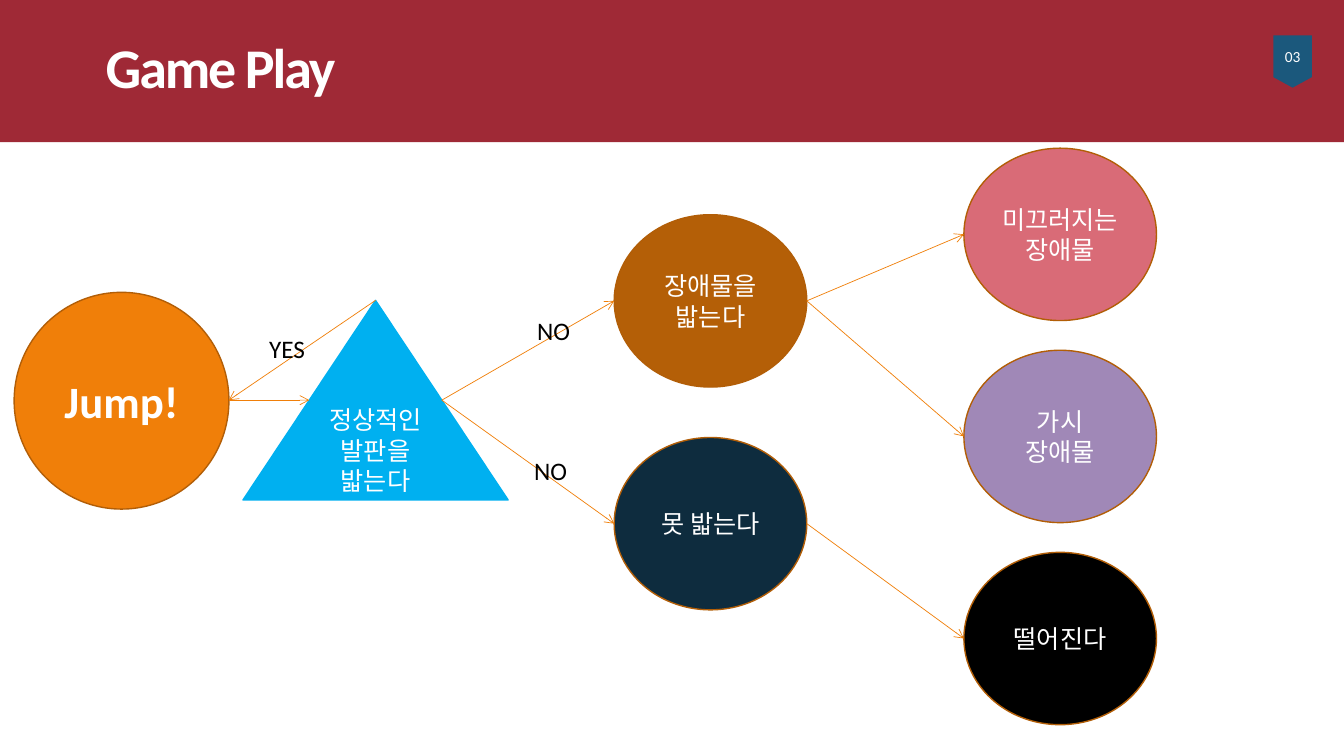
from lxml import etree
from pptx import Presentation
from pptx import util as u
from pptx.dml.color import RGBColor
from pptx.enum import shapes, text
from pptx.oxml.ns import qn

CRIMSON = RGBColor(0x9F, 0x29, 0x36)
TEAL = RGBColor(0x1B, 0x58, 0x7C)
ORANGE = RGBColor(0xF0, 0x7F, 0x09)
RUST = RGBColor(0xB2, 0x5E, 0x07)
BROWN = RGBColor(0xB4, 0x5F, 0x07)
NAVY = RGBColor(0x0E, 0x2C, 0x3E)
ROSE = RGBColor(0xD9, 0x6B, 0x77)
LILAC = RGBColor(0xA0, 0x88, 0xB7)
SKY = RGBColor(0x00, 0xB0, 0xF0)
BLACK = RGBColor(0x00, 0x00, 0x00)
WHITE = RGBColor(0xFF, 0xFF, 0xFF)

deck = Presentation()
deck.slide_width = u.Inches(13.33)
deck.slide_height = u.Inches(7.5)
COL = deck.slide_width / 100
ROW = deck.slide_height / 100
slide = deck.slides.add_slide(deck.slide_layouts[6])
KIND = shapes.MSO_SHAPE


def write(frame, lines, size, color, align, bold=False):
    for i, line in enumerate(lines):
        paragraph = frame.paragraphs[0] if i == 0 else frame.add_paragraph()
        paragraph.alignment = align
        run = paragraph.add_run()
        run.text = line
        run.font.name = "Calibri"
        run.font.size = u.Pt(size)
        run.font.bold = bold
        run.font.color.rgb = color


def block(kind, col, row, cols, rows, fill, edge=None, lines=(), size=18, bold=False):
    shape = slide.shapes.add_shape(
        kind, int(col * COL), int(row * ROW), int(cols * COL), int(rows * ROW))
    shape.shadow.inherit = False
    shape.fill.solid()
    shape.fill.fore_color.rgb = fill
    if edge is None:
        shape.line.fill.background()
    else:
        shape.line.color.rgb = edge
        shape.line.width = u.Pt(1)
    shape.text_frame.vertical_anchor = text.MSO_ANCHOR.MIDDLE
    write(shape.text_frame, lines, size, WHITE, text.PP_ALIGN.CENTER, bold)


block(KIND.RECTANGLE, -1.35, -0.4, 102.7, 19.2, CRIMSON)
block(KIND.FLOWCHART_OFFPAGE_CONNECTOR, 94.75, 4.67, 2.85, 6.93, TEAL, lines=["03"], size=11)

NODE_W, NODE_H = 14.33, 22.8
STEP_COL, RESULT_COL = 45.7, 71.72
STEP_TOP, STEP_GAP = 28.4, 29.47
RESULT_TOP, RESULT_GAP = 19.6, 26.73
JUMP_COL, JUMP_W = 1.05, 15.98
TEST_COL, TEST_TOP, TEST_W, TEST_H = 18.08, 39.73, 19.73, 26.4

block(KIND.OVAL, JUMP_COL, 38.67, JUMP_W, 28.67, ORANGE, RUST, ["Jump!"], 32, True)
block(KIND.ISOSCELES_TRIANGLE, TEST_COL, TEST_TOP, TEST_W, TEST_H, SKY, SKY,
      ["정상적인 발판을 밟는다"])

steps = [(BROWN, ["장애물을 밟는다"]), (NAVY, ["못 밟는다"])]
results = [(ROSE, ["미끄러지는", "장애물"]), (LILAC, ["가시", "장애물"]), (BLACK, ["떨어진다"])]
for col, top, gap, nodes in [(STEP_COL, STEP_TOP, STEP_GAP, steps),
                             (RESULT_COL, RESULT_TOP, RESULT_GAP, results)]:
    for i, (fill, lines) in enumerate(nodes):
        block(KIND.OVAL, col, top + i * gap, NODE_W, NODE_H, fill, RUST, lines)

middle = TEST_TOP + TEST_H / 2
jump_out = (JUMP_COL + JUMP_W, middle)
test_in = (TEST_COL + TEST_W / 4, middle)
test_out = (TEST_COL + TEST_W * 3 / 4, middle)
test_peak = (TEST_COL + TEST_W / 2, TEST_TOP)
step_rows = [STEP_TOP + NODE_H / 2 + i * STEP_GAP for i in range(2)]
result_rows = [RESULT_TOP + NODE_H / 2 + i * RESULT_GAP for i in range(3)]

arrows = [(jump_out, test_in), (test_peak, jump_out)]
arrows += [(test_out, (STEP_COL, row)) for row in step_rows]
arrows += [((STEP_COL + NODE_W, step_rows[step]), (RESULT_COL, result_rows[result]))
           for step, result in [(0, 0), (0, 1), (1, 2)]]
for (x1, y1), (x2, y2) in arrows:
    arrow = slide.shapes.add_connector(
        shapes.MSO_CONNECTOR.STRAIGHT,
        int(x1 * COL), int(y1 * ROW), int(x2 * COL), int(y2 * ROW))
    arrow.line.color.rgb = ORANGE
    arrow.line.width = u.Pt(0.5)
    etree.SubElement(arrow.line._get_or_add_ln(), qn("a:tailEnd"), type="arrow")
    etree.SubElement(arrow._element.spPr, qn("a:effectLst"))

captions = [
    ("Game Play", 7.13, 3.6, 25.28, 10.27, 40, WHITE, True),
    ("YES", 19.28, 43.47, 4.2, 5.33, 18, BLACK, False),
    ("NO", 39.23, 41.07, 3.98, 5.33, 18, BLACK, False),
    ("NO", 39.01, 59.6, 3.98, 5.33, 18, BLACK, False),
]
for words, col, row, cols, rows, size, color, title in captions:
    caption = slide.shapes.add_textbox(
        int(col * COL), int(row * ROW), int(cols * COL), int(rows * ROW)).text_frame
    caption.word_wrap = title
    caption.auto_size = text.MSO_AUTO_SIZE.SHAPE_TO_FIT_TEXT
    write(caption, [words], size, color, text.PP_ALIGN.LEFT, title)
    if title:
        caption.paragraphs[0].runs[0].font._element.set("spc", "-150")

deck.save("out.pptx")
